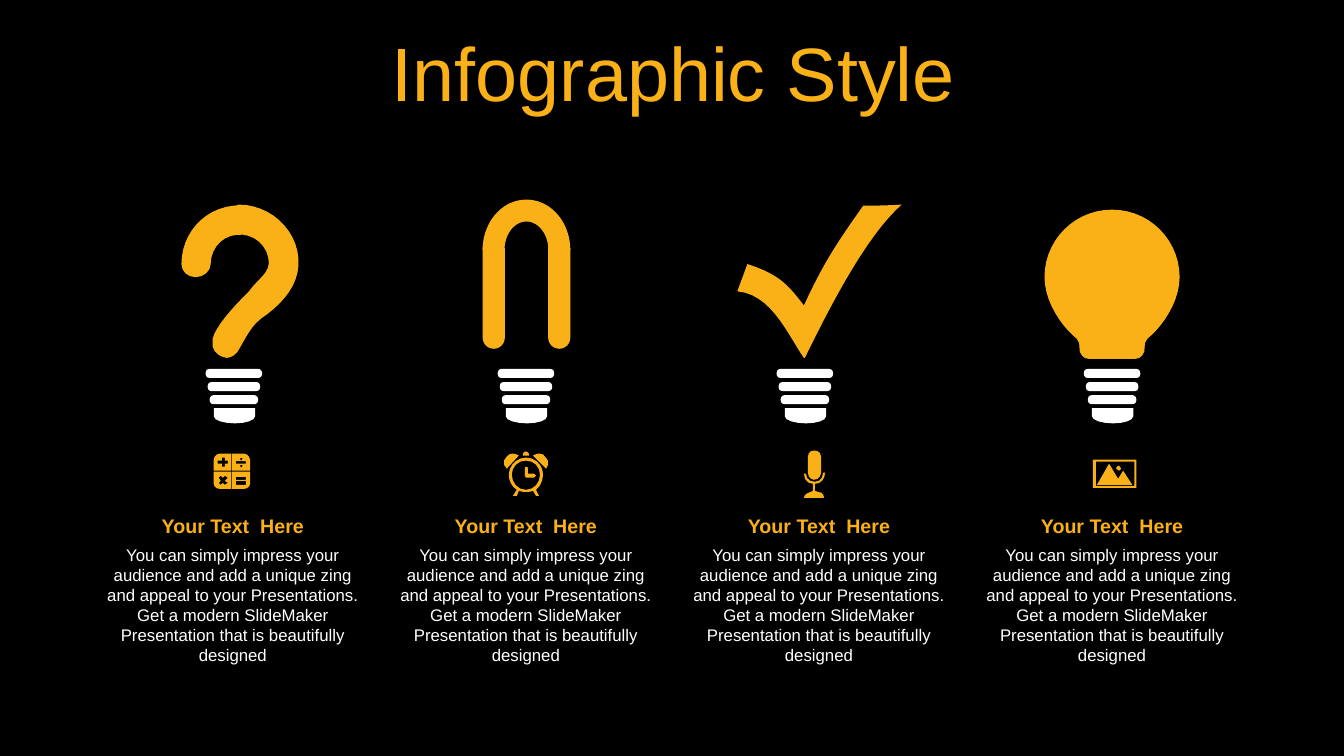
from dataclasses import dataclass
from math import ceil, dist

from pptx import Presentation
from pptx.dml.color import RGBColor
from pptx.enum.shapes import MSO_SHAPE
from pptx.enum.text import MSO_ANCHOR, PP_ALIGN
from pptx.util import Inches, Pt

ROUNDED = MSO_SHAPE.ROUNDED_RECTANGLE
ARCH = MSO_SHAPE.BLOCK_ARC
LEG = MSO_SHAPE.ROUND_2_SAME_RECTANGLE
CENTER = PP_ALIGN.CENTER
MIDDLE = MSO_ANCHOR.MIDDLE
TITLE_ONLY = 5
CURVE_STEP = 9


@dataclass(frozen=True)
class Theme:
    font: str = "Arial"
    background: RGBColor = RGBColor(0, 0, 0)
    accent: RGBColor = RGBColor(0xFA, 0xB1, 0x17)
    light: RGBColor = RGBColor(255, 255, 255)
    title_size: int = 54
    heading_size: int = 14
    body_size: int = 12


THEME = Theme()
HEADING = "Your Text  Here"
BODY = ("You can simply impress your audience and add a unique zing and appeal to your "
        "Presentations. Get a modern SlideMaker Presentation that is beautifully designed")

SOCKET_BASE = "M 41 0 L 0 0 L 0 8 C 0 12 10 15 21 15 C 32 15 41 12 41 8 Z"
QUESTION = """M 57 0 C 84 0 109 19 115 46 C 121 74 104 96 79 113 C 69 121 65 130 58 142
C 55 149 49 152 45 152 C 40 152 32 147 31 141 L 31 133 C 34 121 49 104 67 86
C 77 72 90 67 86 52 C 83 38 69 28 55 30 C 40 31 29 44 29 59 C 29 66 22 72 14 72
C 6 72 0 66 0 59 C 0 29 22 4 52 1 C 53 1 55 1 57 0 Z"""
TICK = """M 163 0 C 128 31 93 99 67 152 L 66 152 C 50 129 34 89 0 86 L 10 59
C 41 69 50 79 66 100 C 84 62 93 46 125 1 C 137 1 146 1 163 0 Z"""
BULB = """M 67 0 C 104 0 134 30 134 67 C 134 92 116 117 102 128 C 98 133 100 135 99 141
C 97 146 94 148 90 148 L 44 148 C 40 148 37 146 35 141 C 34 135 36 133 32 128
C 18 117 0 92 0 67 C 0 30 30 0 67 0 Z"""
CALCULATOR = """M 22 27 L 22 31 L 32 31 L 32 27 Z M 22 23 L 22 26 L 32 26 L 32 23 Z
M 7 22 L 5 24 L 7 27 L 5 29 L 7 31 L 9 29 L 11 31 L 14 29 L 11 27 L 14 24 L 11 22 L 9 24 Z
M 18.1 18 L 36 18 L 36 30 C 36 33 33 35 30 35 L 18.1 35 Z
M 0 18 L 17.3 18 L 17.3 35 L 6 35 C 3 35 0 33 0 30 Z
M 27 11 C 26 11 26 11 26 12 C 26 13 26 14 27 14 C 28 14 29 13 29 12 C 29 11 28 11 27 11 Z
M 22 7.5 L 22 10 L 32 10 L 32 7.5 Z
M 8 4 L 8 7 L 4 7 L 4 10 L 8 10 L 8 13 L 11 13 L 11 10 L 14 10 L 14 7 L 11 7 L 11 4 Z
M 27 4 C 26 4 26 4 26 5 C 26 6 26 7 27 7 C 28 7 29 6 29 5 C 29 4 28 4 27 4 Z
M 18.1 0 L 30 0 C 33 0 36 3 36 6 L 36 17 L 18.1 17 Z
M 17.3 0 L 17.3 17 L 0 17 L 0 6 C 0 3 3 0 6 0 Z"""
CLOCK = """M 22 15 C 23 15 24 15 24 16 L 24 22 L 30 22 C 31 22 32 23 32 24
C 32 25 31 26 30 26 L 22 26 C 21 26 21 25 21 24 L 21 16 C 21 15 21 15 22 15 Z
M 22 9 C 14 9 8 15 8 23 C 8 31 14 38 22 38 C 30 38 36 31 36 23 C 36 15 30 9 22 9 Z
M 22 6 C 32 6 39 14 39 23 C 39 29 36 35 32 38 L 35 44 L 32 44 L 29 39 C 27 40 25 40 22 40
C 20 40 17 40 15 39 L 13 44 L 9 44 L 13 38 C 8 35 5 29 5 23 C 5 14 13 6 22 6 Z
M 9 2 C 11 2 13 3 15 4 L 3 17 C -1 14 -1 8 3 5 C 4 3 7 2 9 2 Z
M 35 2 C 38 2 40 3 41 5 C 45 8 45 14 42 17 L 29 4 C 31 3 33 2 35 2 Z
M 21 0 L 23 0 C 25 0 25 1 25 2 L 25 4 L 19 4 L 19 2 C 19 1 20 0 21 0 Z"""
MICROPHONE = """M 21 22 C 21 28 17 33 11 33 L 11 40 C 12 40 13 40 14 41 C 18 41 20 44 20 47
L 0 47 C 0 44 3 42 7 41 C 8 40 8 40 9 40 L 9 33 C 4 33 0 29 0 23 L 2 23
C 2 28 6 31 11 31 C 16 31 19 27 19 22 Z
M 10 0 C 14 0 17 2 17 6 L 17 22 C 17 26 14 29 10 29 C 7 29 4 26 4 22 L 4 6 C 4 2 7 0 10 0 Z"""
LANDSCAPE = """M 26 6 C 27 6 28 7 28 9 C 28 10 27 11 26 11 C 24 11 23 10 23 9 C 23 7 24 6 26 6 Z
M 16 4 L 25 19 L 30 11 L 39 25 L 4 25 Z M 3 2 L 3 26 L 41 26 L 41 2 Z
M 0 0 L 43 0 L 43 28 L 0 28 Z"""


def paint(shape, color):
    shape.shadow.inherit = False
    shape.fill.solid()
    shape.fill.fore_color.rgb = color
    shape.line.fill.background()


def curve_points(start, values):
    points = [start, *zip(values[::2], values[1::2])]
    length = sum(dist(first, second) for first, second in zip(points, points[1:]))
    steps = ceil(length / CURVE_STEP) + (length > CURVE_STEP / 2)
    for step in range(1, steps + 1):
        t = step / steps
        weights = ((1 - t) ** 3, 3 * t * (1 - t) ** 2, 3 * t * t * (1 - t), t ** 3)
        yield tuple(sum(weight * point[axis] for weight, point in zip(weights, points))
                    for axis in (0, 1))


def contour_points(contour):
    tokens = contour.split()
    points = [(float(tokens[0]), float(tokens[1]))]
    position = 2
    while position < len(tokens):
        count = 6 if tokens[position] == "C" else 2
        values = [float(token) for token in tokens[position + 1:position + 1 + count]]
        points.extend(curve_points(points[-1], values) if count == 6 else [tuple(values)])
        position += 1 + count
    return [(Inches(x / 100), Inches(y / 100)) for x, y in points]


def add_outline(shapes, outline, left, top, color):
    contours = [contour_points(part.replace("Z", "")) for part in outline.split("M")[1:]]
    builder = shapes.build_freeform(*contours[0][0])
    for index, points in enumerate(contours):
        if index:
            builder.move_to(*points[0])
        builder.add_line_segments(points[1:], close=True)
    paint(builder.convert_to_shape(Inches(left), Inches(top)), color)


def add_preset(shapes, kind, left, top, width, height, color):
    shape = shapes.add_shape(kind, Inches(left), Inches(top), Inches(width), Inches(height))
    paint(shape, color)
    return shape


def add_magnet(shapes, left, top):
    magnet = shapes.add_group_shape().shapes
    add_preset(magnet, ARCH, left, top, 0.87, 1, THEME.accent)
    for offset in (0, 0.65):
        leg = add_preset(magnet, LEG, left + offset, top + 0.48, 0.22, 1, THEME.accent)
        leg.rotation = 180
        leg.adjustments[0] = 0.5
        leg.adjustments[1] = 0


def add_question(shapes, left, top):
    add_outline(shapes, QUESTION, left, top, THEME.accent)


def add_tick(shapes, left, top):
    add_outline(shapes, TICK, left, top, THEME.accent)


def add_bulb(shapes, left, top):
    add_outline(shapes, BULB, left, top, THEME.accent)


def add_socket(shapes, left, top):
    socket = shapes.add_group_shape().shapes
    for row in range(3):
        bar = add_preset(socket, ROUNDED, left + 0.02 * row, top + 0.13 * row,
                         0.56 - 0.04 * row, 0.09, THEME.light)
        bar.adjustments[0] = 0.42
    add_outline(socket, SOCKET_BASE, left + 0.08, top + 0.39, THEME.light)


def format_text(shape, text, size, color, bold=False):
    shape.text_frame.word_wrap = True
    paragraph = shape.text_frame.paragraphs[0]
    paragraph.text = text
    paragraph.alignment = CENTER
    paragraph.font.name = THEME.font
    paragraph.font.size = Pt(size)
    paragraph.font.bold = bold
    paragraph.font.color.rgb = color
    return paragraph


def add_text(shapes, left, top, width, height, text, size, color, bold=False):
    box = shapes.add_textbox(Inches(left), Inches(top), Inches(width), Inches(height))
    format_text(box, text, size, color, bold)


def add_title(slide, left, top, width, height):
    title = slide.shapes.title
    title.left, title.top = Inches(left), Inches(top)
    title.width, title.height = Inches(width), Inches(height)
    title.text_frame.vertical_anchor = MIDDLE
    paragraph = format_text(title, "Infographic Style", THEME.title_size, THEME.accent)
    paragraph.line_spacing = 0.9


def add_idea(shapes, left, top, width, idea):
    add_symbol, symbol_x, symbol_y, socket_x, icon, icon_x, icon_y = idea
    add_symbol(shapes, left + symbol_x, top + symbol_y)
    add_socket(shapes, left + socket_x, top + 1.68)
    add_outline(shapes, icon, left + icon_x, top + icon_y, THEME.accent)
    add_text(shapes, left, top + 3.07, width, 0.34, HEADING, THEME.heading_size,
             THEME.accent, bold=True)
    add_text(shapes, left, top + 3.37, width, 1.31, BODY, THEME.body_size, THEME.light)


IDEAS = (
    (add_question, 0.84, 0.05, 1.08, CALCULATOR, 1.16, 2.52),
    (add_magnet, 0.92, 0, 1.07, CLOCK, 1.13, 2.5),
    (add_tick, 0.54, 0.05, 0.93, MICROPHONE, 1.2, 2.49),
    (add_bulb, 0.68, 0.1, 1.07, LANDSCAPE, 1.16, 2.58),
)


def main():
    presentation = Presentation()
    presentation.slide_width, presentation.slide_height = Inches(13.33), Inches(7.5)
    slide = presentation.slides.add_slide(presentation.slide_layouts[TITLE_ONLY])
    slide.background.fill.solid()
    slide.background.fill.fore_color.rgb = THEME.background
    add_title(slide, 0.35, 0.37, 12.66, 0.79)
    first_left, last_left = 0.96, 9.68
    pitch = (last_left - first_left) / (len(IDEAS) - 1)
    for index, idea in enumerate(IDEAS):
        add_idea(slide.shapes, first_left + index * pitch, 1.98, 2.7, idea)
    presentation.save("out.pptx")


if __name__ == "__main__":
    main()
